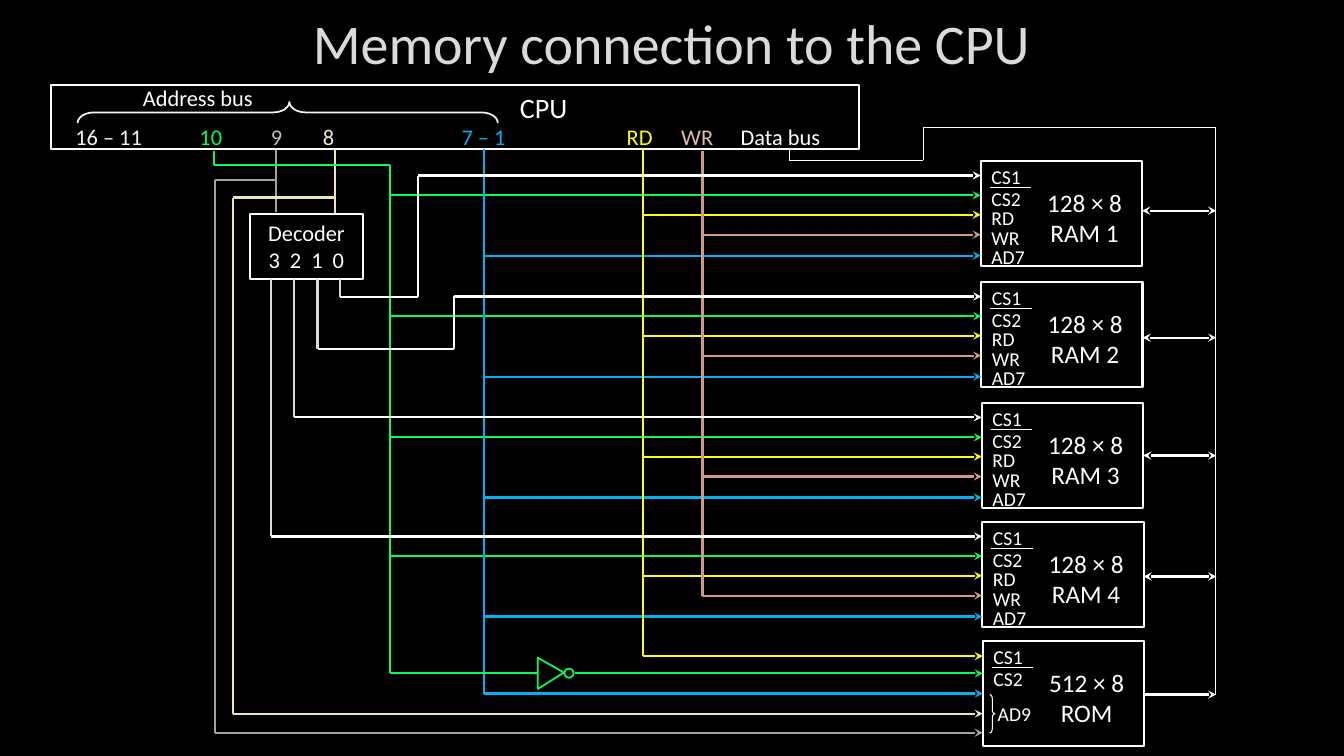
import pptx
import pptx.util
import pptx.dml.color
import pptx.enum.shapes
import pptx.enum.text
import pptx.oxml
import pptx.oxml.ns

Pt = pptx.util.Pt
RGBColor = pptx.dml.color.RGBColor
Kind = pptx.enum.shapes.MSO_SHAPE
Align = pptx.enum.text.PP_ALIGN
Anchor = pptx.enum.text.MSO_ANCHOR

BLACK = RGBColor(0x00, 0x00, 0x00)
WHITE = RGBColor(0xFF, 0xFF, 0xFF)
SILVER = RGBColor(0xDA, 0xDA, 0xDA)
PALE = RGBColor(0xF2, 0xF2, 0xF2)
GREY = RGBColor(0xA3, 0xA3, 0xA3)
ASH = RGBColor(0xBF, 0xBF, 0xBF)
CREAM = RGBColor(0xED, 0xE3, 0xC3)
SAND = RGBColor(0xF2, 0xE7, 0xD8)
GREEN = RGBColor(0x08, 0xFC, 0x54)
BLUE = RGBColor(0x00, 0xB0, 0xF0)
YELLOW = RGBColor(0xFF, 0xFF, 0x00)
ROSE = RGBColor(0xCF, 0x99, 0x88)
PINK = RGBColor(0xDF, 0xBB, 0xB0)

# Chips: top edges, and the heights of pins and wires below them
TOPS = (115.2, 201.6, 288, 373, 458)
PINS = (("CS1", -0.7), ("CS2", 15.1), ("RD", 28.6), ("WR", 42.5), ("AD7", 56.2))
CHIP_W, CHIP_H = 115.2, 74.9
DATA = (150.5, 241.2, 325.4, 411.8, 496.1)
BUS_X = 868.3

# Rails from the CPU that branch to every RAM: colour, x, row below chip top
RAILS = ((GREEN, 278.6, 24.3), (YELLOW, 459.4, 38.2),
         (ROSE, 501.8, 52.4), (BLUE, 345.6, 67.4))
SELECT = 10.2


def edge(chip):
    """Left side of a chip; each stands slightly right of the one above."""
    return 700.6 + 0.36 * chip


def write(shape, lines, size, color, align=Align.LEFT):
    frame = shape.text_frame
    frame.word_wrap = True
    frame.text = "\n".join(lines)
    for para in frame.paragraphs:
        para.alignment = align
        para.font.name = "Calibri"
        para.font.size = Pt(size)
        para.font.color.rgb = color
    return frame


def label(slide, text, x, y, w, h=26.6, size=16, color=WHITE, align=Align.LEFT):
    box = slide.shapes.add_textbox(Pt(x), Pt(y), Pt(w), Pt(h))
    return write(box, text.split("\n"), size, color, align)


def outline(slide, kind, x, y, w, h, color=WHITE, width=1.5, turn=0, adjust=()):
    shape = slide.shapes.add_shape(kind, Pt(x), Pt(y), Pt(w), Pt(h))
    shape.shadow.inherit = False
    shape.fill.background()
    shape.line.color.rgb = color
    shape.line.width = Pt(width)
    shape.rotation = turn
    for index, value in enumerate(adjust):
        shape.adjustments[index] = value
    return shape


def wire(slide, color, points, ends=(), width=1.5):
    """Straight pieces through the points; ends go on the last piece."""
    for start, stop in zip(points, points[1:]):
        line = slide.shapes.add_connector(
            pptx.enum.shapes.MSO_CONNECTOR.STRAIGHT,
            Pt(start[0]), Pt(start[1]), Pt(stop[0]), Pt(stop[1]))
        line.line.color.rgb = color
        line.line.width = Pt(width)
        props = line._element.spPr
        pptx.oxml.ns.qn("a:ln")
        if stop == points[-1]:
            for end in ends:
                tip = pptx.oxml.parse_xml(
                    f'<a:{end} {pptx.oxml.ns.nsdecls("a")} type="stealth"/>')
                line.line._get_or_add_ln().append(tip)
        props.append(pptx.oxml.parse_xml(
            f'<a:effectLst {pptx.oxml.ns.nsdecls("a")}/>'))


def arrow(slide, color, points):
    wire(slide, color, points, ("tailEnd",))


def chip(slide, index, name, pins):
    x, y = edge(index), TOPS[index]
    outline(slide, Kind.RECTANGLE, x, y, CHIP_W, CHIP_H)
    for pin, drop in pins:
        label(slide, pin, x + 0.5, y + drop, 44, 19.4, 14)
    wire(slide, WHITE, [(x + 6.5, y + 19), (x + 36, y + 19)], width=0.75)
    label(slide, name, x + 33.1, y + 15.1, 82.1, 51.1, 18, align=Align.CENTER)
    # Data arrow to the bus; the ROM is only read
    ends = ("tailEnd",) if index == 4 else ("headEnd", "tailEnd")
    wire(slide, WHITE, [(x + CHIP_W, DATA[index]), (BUS_X + 0.5, DATA[index])], ends)


def cpu(slide):
    outline(slide, Kind.RECTANGLE, 36.7, 60.5, 576.7, 46.1)
    outline(slide, Kind.RIGHT_BRACE, 198, -69.8, 15.1, 300.2, PALE, 1.25, 270,
            (0.769, 0.504))
    label(slide, "Address bus", 95, 56.9, 97.2)
    label(slide, "CPU", 364.3, 61.2, 57.6, 31.7, 20)
    for text, x, w, color in (
            ("16 – 11", 46.8, 64.1, PALE), ("10", 135.4, 31, GREEN),
            ("9", 186.5, 28, ASH), ("8", 223.5, 28, SAND),
            ("7 – 1", 322.6, 47.5, BLUE), ("RD", 440.6, 39.6, YELLOW),
            ("WR", 479.5, 43.2, PINK), ("Data bus", 522, 76.3, WHITE)):
        label(slide, text, x, 84.2, w, color=color)


def decoder(slide):
    box = outline(slide, Kind.RECTANGLE, 178.6, 152.6, 80.6, 46.8)
    frame = write(box, ("Decoder", "3 2 1 0"), 16, WHITE, Align.CENTER)
    frame.vertical_anchor = Anchor.MIDDLE
    # Letter spacing sets the digits over their wires
    frame.paragraphs[1].runs[0]._r.get_or_add_rPr().set("spc", "180")
    # Outputs 0 to 3: x, and the bends on the way to a chip select
    outputs = ((242.6, (212.4, 298.8)), (226.8, (249.5, 324)),
               (210.2, None), (193.7, None))
    for index, (x, bend) in enumerate(outputs):
        row = TOPS[index] + SELECT
        low = bend[0] if bend else row
        wire(slide, SILVER, [(x, 199.1), (x, low)])
        turns = [(bend[1], low), (bend[1], row)] if bend else []
        arrow(slide, WHITE, [(x, low)] + turns + [(edge(index), row)])


def rails(slide):
    for color, x, drop in RAILS:
        for index, top in enumerate(TOPS[:4]):
            arrow(slide, color, [(x, top + drop), (edge(index), top + drop)])
    wire(slide, ROSE, [(501.8, 107.6), (501.8, TOPS[3] + 52.4)])
    # Wires that end at the ROM
    rom = edge(4)
    arrow(slide, YELLOW, [(459.4, 106.6), (459.4, 468.7), (rom, 468.7)])
    arrow(slide, BLUE, [(345.6, 106.2), (345.6, 495.4), (rom, 495.4)])
    for color, x, low, side, y, foot in (
            (GREY, 197.3, 151.2, 153.4, 128.9, 523.4),
            (CREAM, 239, 152, 166.3, 141.1, 509.8)):
        wire(slide, color, [(x, 106.9), (x, low)])
        arrow(slide, color, [(x, y), (side, y), (side, foot), (rom, foot)])
    # Line 10 with its inverter
    wire(slide, GREEN, [(152.6, 108), (152.6, 118.1), (278.6, 118.1),
                        (278.6, 481), (383.8, 481)])
    outline(slide, Kind.ISOSCELES_TRIANGLE, 382.3, 471.6, 22.3, 18.7, GREEN,
            1.25, 90, (0.474,))
    outline(slide, Kind.OVAL, 403.2, 477.6, 6.5, 6.5, GREEN, 1.25)
    arrow(slide, GREEN, [(410.4, 481), (rom, 481)])


def main():
    deck = pptx.Presentation()
    deck.slide_width, deck.slide_height = Pt(960), Pt(540)
    slide = deck.slides.add_slide(deck.slide_layouts[6])
    slide.background.fill.solid()
    slide.background.fill.fore_color.rgb = BLACK

    title = label(slide, "Memory connection to the CPU", 108, 0, 743, 144, 40,
                  SILVER, Align.CENTER)
    title.margin_top = Pt(6)

    # Memory chips
    for index in range(4):
        chip(slide, index, f"128 × 8\nRAM {index + 1}", PINS)
    chip(slide, 4, "512 × 8\nROM", PINS[:2])
    label(slide, "AD9", 705.6, 498.2, 44, 24.5, 14)
    outline(slide, Kind.RIGHT_BRACE, 707, 496.1, 3.6, 27.4, WHITE, 0.75,
            adjust=(0.798, 0.5))

    # Data bus
    wire(slide, WHITE, [(563.8, 106.6), (563.8, 114.5), (659.5, 114.5),
                        (659.5, 91.4), (BUS_X, 91.4), (BUS_X, 496.1)], width=0.75)
    cpu(slide)
    rails(slide)
    decoder(slide)
    deck.save("out.pptx")


if __name__ == "__main__":
    main()
